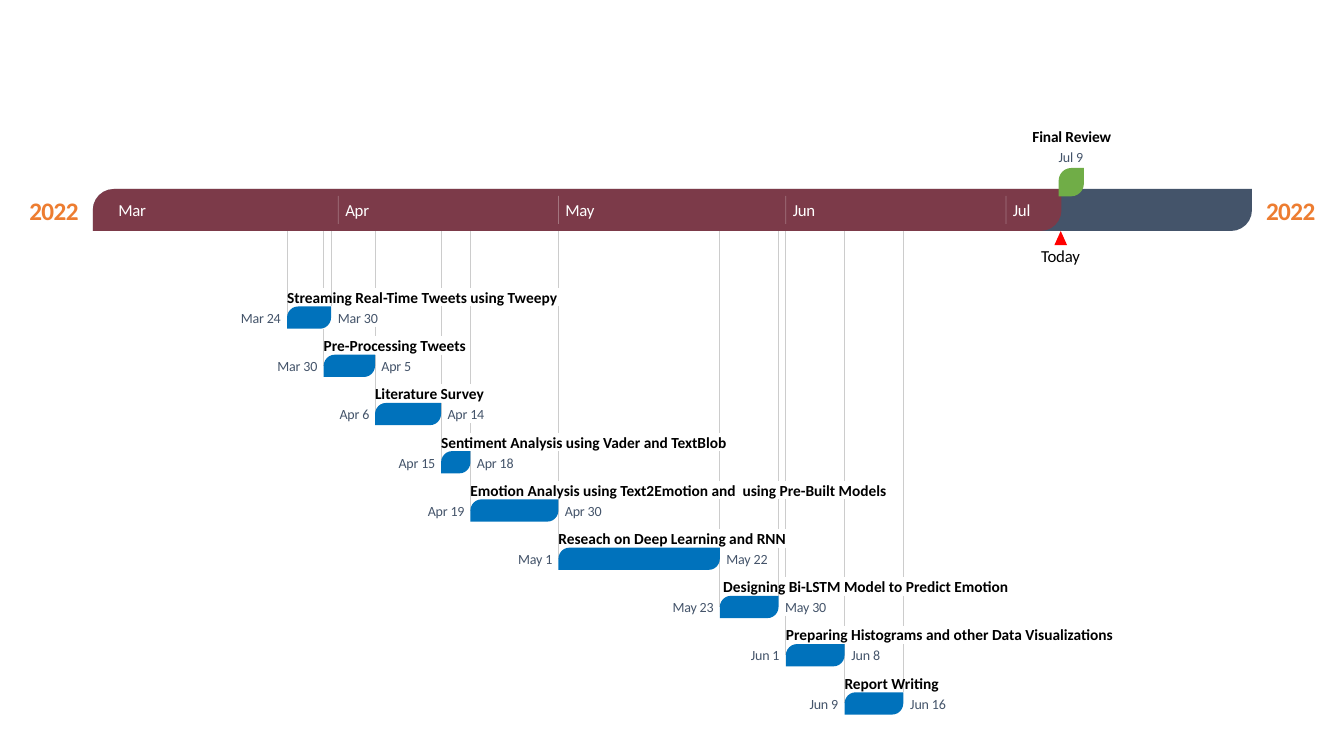
from pptx import Presentation
from pptx.dml.color import RGBColor as Rgb
from pptx.enum.shapes import MSO_CONNECTOR as Link, MSO_SHAPE as Form
from pptx.enum.text import MSO_ANCHOR as Anchor, PP_ALIGN as Align
from pptx.oxml.ns import qn
from pptx.util import Pt
from lxml.etree import SubElement as Sub

HUES = {
    "year": "ED7D31", "guide": "CCCCCC", "slate": "44546A", "red": "FF0000",
    "white": "FFFFFF", "black": "000000", "task": "0072BC", "final": "70AD47",
}
APRIL, DAY = 241.7, 5.24
BAND_LEFT, BAND_TOP, BAND_HIGH = 66.3, 135, 30
BAND_END = 165
FIRST, STEP, HIGH = 218.9, 34.45, 15.9
TITLE_HIGH, DATE_HIGH = 13.2, 12.2
SLACK = 6
DATE_WIDE = {"Mar": 25.2, "Apr": 22.3, "May": 25.8, "Jun": 22.3}
MONTHS = [("Apr", 0), ("May", 30), ("Jun", 61), ("Jul", 91)]
TASKS = [
    ("Streaming Real-Time Tweets using Tweepy", 195, -7, -1, "Mar 24", "Mar 30"),
    ("Pre-Processing Tweets", 102.2, -2, 5, "Mar 30", "Apr 5"),
    ("Literature Survey", 77.8, 5, 14, "Apr 6", "Apr 14"),
    ("Sentiment Analysis using Vader and TextBlob", 205.2, 14, 18, "Apr 15", "Apr 18"),
    ("Emotion Analysis using Text2Emotion and  using Pre-Built Models", 298, 18, 30,
     "Apr 19", "Apr 30"),
    ("Reseach on Deep Learning and RNN", 162.9, 30, 52, "May 1", "May 22"),
    (" Designing Bi-LSTM Model to Predict Emotion", 207.4, 52, 60, "May 23", "May 30"),
    ("Preparing Histograms and other Data Visualizations", 234.7, 61, 69, "Jun 1", "Jun 8"),
    ("Report Writing", 67.7, 69, 77, "Jun 9", "Jun 16"),
]


def day_x(day):
    return APRIL + day * DAY


def row_y(row):
    return FIRST + row * STEP


def date_wide(date):
    month, day = date.split()
    return DATE_WIDE[month] + 5.1 * (len(day) - 1)


def fade(fill, share):
    color = fill._xPr.find(qn("a:solidFill"))[0]
    Sub(color, qn("a:alpha")).set("val", str(share * 1000))


def add_text(slide, text, x, y, wide, high, size=10, hue="slate", bold=False,
             align=Align.LEFT, wrap=True, space=-10):
    box = slide.shapes.add_textbox(Pt(x), Pt(y), Pt(wide), Pt(high))
    frame = box.text_frame
    frame.margin_left = frame.margin_right = frame.margin_top = frame.margin_bottom = 0
    frame.word_wrap = wrap
    frame.vertical_anchor = Anchor.MIDDLE
    line = frame.paragraphs[0]
    line.alignment = align
    run = line.add_run()
    run.text = text
    font = run.font
    font.name, font.size, font.bold = "Calibri", Pt(size), bold
    font.color.rgb = Rgb.from_string(HUES[hue])
    run._r.get_or_add_rPr().set("spc", str(space))


def add_form(slide, kind, x, y, wide, high, hue, share=None):
    form = slide.shapes.add_shape(kind, Pt(x), Pt(y), Pt(wide), Pt(high))
    form.shadow.inherit = False
    form.fill.solid()
    form.fill.fore_color.rgb = Rgb.from_string(HUES[hue])
    form.line.fill.background()
    if kind == Form.ROUND_2_DIAG_RECTANGLE:
        form.adjustments[0] = 1
    if share:
        fade(form.fill, share)


def add_leaf(slide, *place, **style):
    add_form(slide, Form.ROUND_2_DIAG_RECTANGLE, *place, **style)


def add_rule(slide, x, top, end, hue, share=None):
    rule = slide.shapes.add_connector(Link.STRAIGHT, Pt(x), Pt(top), Pt(x), Pt(end))
    rule.line.width = Pt(0.5)
    rule.line.color.rgb = Rgb.from_string(HUES[hue])
    if share:
        fade(rule.line.fill, share)
    Sub(rule._element.spPr, qn("a:effectLst"))


def row_blocks(row):
    _, wide, start, end, _, last = TASKS[row]
    y, left, right = row_y(row), day_x(start), day_x(end)
    return [
        (left, left + wide, y - TITLE_HIGH, y),
        (left, right, y, y + HIGH),
        (right + 4, right + 4 + date_wide(last), y, y + 14.4),
    ]


def add_guide(slide, day, row, end):
    x, top = day_x(day), BAND_END
    for prior in range(row):
        for left, right, high, low in row_blocks(prior):
            if left + 0.2 < x < right - 0.2:
                if high - top > 1:
                    add_rule(slide, x, top, high, "guide")
                top = low
    add_rule(slide, x, top, end, "guide")


def add_guides(slide):
    starts = [task[2] for task in TASKS]
    for row, (_, _, start, end, _, _) in enumerate(TASKS):
        add_guide(slide, start, row, row_y(row) + HIGH / 2)
        if end not in starts:
            add_guide(slide, end, row, row_y(row))


def add_band(slide):
    for x in (20.2, 903.6):
        add_text(slide, "2022", x, 139, 36.7, 22.3, size=18, hue="year", bold=True,
                 align=Align.CENTER, wrap=False, space=-40)
    add_leaf(slide, BAND_LEFT, BAND_TOP, 828, BAND_HIGH, hue="slate")
    add_leaf(slide, BAND_LEFT, BAND_TOP, 691.9, BAND_HIGH, hue="red", share=30)
    add_form(slide, Form.ISOSCELES_TRIANGLE, 753.2, BAND_END, 9, 10, "red")
    add_text(slide, "Today", 743.2, 175.2, 28.8, 14.4, size=12, hue="black",
             align=Align.CENTER, wrap=False)
    month = {"size": 12, "hue": "white", "space": -20}
    add_text(slide, "Mar", 84.5, 142.6, 30, 14.4, **month)
    for name, day in MONTHS:
        add_text(slide, name, day_x(day) + 5, 142.6, 30, 14.4, **month)
        add_rule(slide, day_x(day), 140, 160, "white", 30)


def add_task(slide, row):
    title, wide, start, end, first, last = TASKS[row]
    y, left, right = row_y(row), day_x(start), day_x(end)
    add_leaf(slide, left, y, right - left, HIGH, hue="task")
    size = date_wide(first)
    add_text(slide, first, left - 3.6 - size, y + 2, size, DATE_HIGH, align=Align.CENTER)
    add_text(slide, last, right + 4, y + 2, date_wide(last), DATE_HIGH, align=Align.CENTER)
    add_text(slide, title, left, y - TITLE_HIGH, wide + SLACK, TITLE_HIGH, size=11,
             hue="black", bold=True, space=-4)


def add_final(slide):
    add_leaf(slide, 756.2, 120, 18, 20.2, hue="final")
    add_text(slide, "Final Review", 736.4, 90.9, 58.3, TITLE_HIGH, size=11, hue="black",
             bold=True, align=Align.CENTER)
    add_text(slide, "Jul 9", 756.2, 106, 19, DATE_HIGH)


def main():
    deck = Presentation()
    deck.slide_width, deck.slide_height = Pt(960), Pt(540)
    slide = deck.slides.add_slide(deck.slide_layouts[6])
    add_guides(slide)
    add_band(slide)
    for row in range(len(TASKS)):
        add_task(slide, row)
    add_final(slide)
    deck.save("out.pptx")


main()
